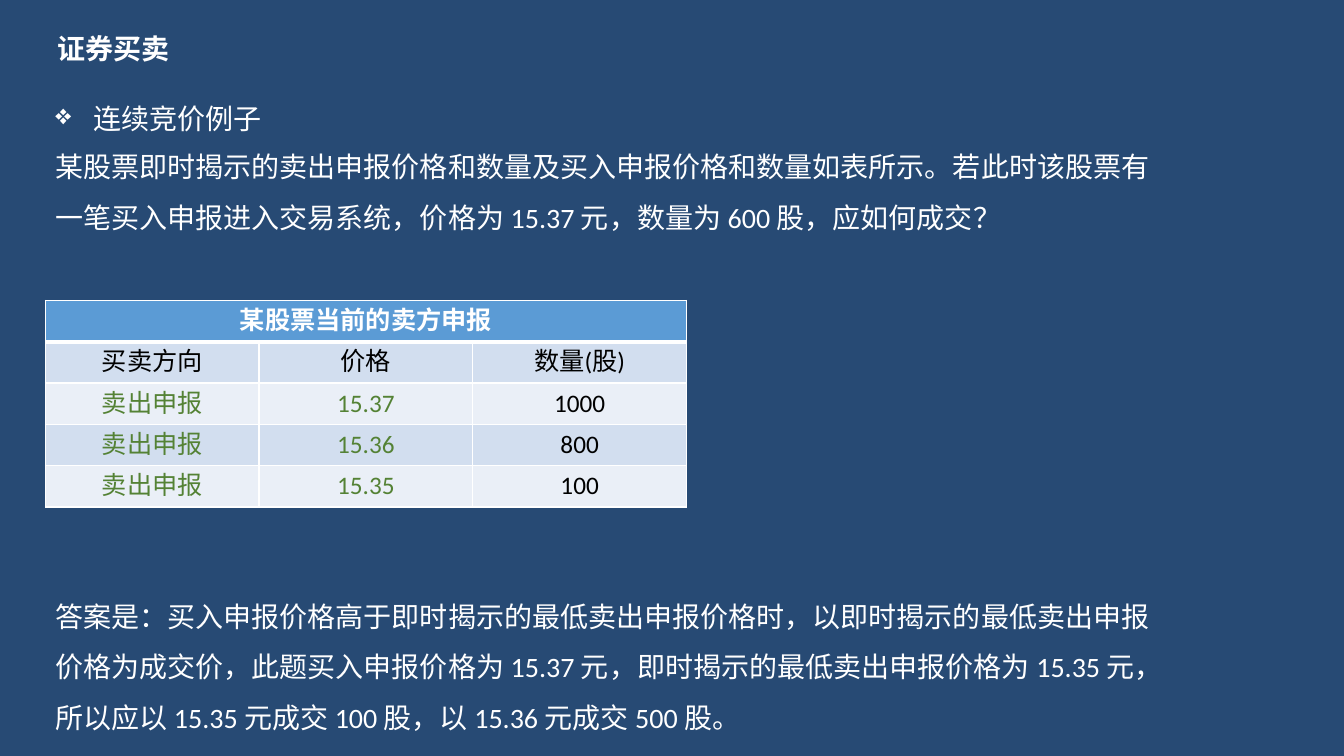
"""Build the securities trading slide with the continuous auction example."""
from pptx import Presentation, util as u
from pptx.dml.color import RGBColor
from pptx.enum import text
from pptx.oxml import parse_xml
from pptx.oxml.ns import nsdecls

WHITE, BLACK, GREEN = "FFFFFF", "000000", "548235"
HEADER_FILL, BAND_FILLS = "5B9BD5", ("D2DEEF", "EAEFF7")
CJK, LATIN = "Noto Sans CJK SC", "Calibri"
TITLE = "证券买卖"
SUBTITLE = "连续竞价例子"
QUESTION = ("某股票即时揭示的卖出申报价格和数量及买入申报价格和数量如表所示。若此时该股票有"
            "一笔买入申报进入交易系统，价格为 15.37 元，数量为 600 股，应如何成交？")
ANSWER = ("答案是：买入申报价格高于即时揭示的最低卖出申报价格时，以即时揭示的最低卖出申报"
          "价格为成交价，此题买入申报价格为 15.37 元，即时揭示的最低卖出申报价格为 15.35 "
          "元，所以应以 15.35 元成交 100 股，以 15.36 元成交 500 股。")
TABLE_ROWS = [
    ("某股票当前的卖方申报", "", ""),
    ("买卖方向", "价格", "数量(股)"),
    ("卖出申报", "15.37", "1000"),
    ("卖出申报", "15.36", "800"),
    ("卖出申报", "15.35", "100"),
]
LEFT, BODY_WIDTH = 0.45, 11.11
COLUMN_WIDTH, ROW_HEIGHT = 2.12, 0.41


def color(value):
    return RGBColor.from_string(value)


def style(paragraph, size, font, value, bold=False):
    for run in paragraph.runs:
        run.font.size = u.Pt(size)
        run.font.name = font
        run.font.bold = bold
        run.font.color.rgb = color(value)
        run.font._element.get_or_add_latin().addnext(
            parse_xml(f'<a:ea {nsdecls("a")} typeface="{LATIN}"/>'))


def add_text(slide, content, left, top, width, height, font=LATIN, bold=False):
    box = slide.shapes.add_textbox(*map(u.Inches, (left, top, width, height)))
    frame = box.text_frame
    frame.word_wrap = True
    frame.auto_size = text.MSO_AUTO_SIZE.SHAPE_TO_FIT_TEXT
    frame.text = content
    paragraph = frame.paragraphs[0]
    style(paragraph, 20, font, WHITE, bold)
    return paragraph


def add_bullet(paragraph, character, indent):
    properties = paragraph._p.get_or_add_pPr()
    properties.set("marL", str(u.Inches(indent)))
    properties.set("indent", str(-u.Inches(indent)))
    properties.append(parse_xml(f'<a:buChar {nsdecls("a")} char="{character}"/>'))


def add_borders(cell, bottom):
    properties = cell._tc.get_or_add_tcPr()
    widths = (("L", 1), ("R", 1), ("T", 1), ("B", bottom))
    for position, (side, width) in enumerate(widths):
        properties.insert(position, parse_xml(
            f'<a:ln{side} {nsdecls("a")} w="{u.Pt(width)}"><a:solidFill>'
            f'<a:srgbClr val="{WHITE}"/></a:solidFill></a:ln{side}>'))


def add_orders(slide):
    columns = len(TABLE_ROWS[0])
    table = slide.shapes.add_table(
        len(TABLE_ROWS), columns, u.Inches(LEFT), u.Inches(2.98),
        u.Inches(COLUMN_WIDTH * columns), u.Inches(ROW_HEIGHT * len(TABLE_ROWS))).table
    for row_index, values in enumerate(TABLE_ROWS):
        header = row_index == 0
        for column_index, value in enumerate(values):
            cell = table.cell(row_index, column_index)
            cell.text = value
            cell.vertical_anchor = text.MSO_ANCHOR.MIDDLE
            cell.fill.solid()
            cell.fill.fore_color.rgb = color(
                HEADER_FILL if header else BAND_FILLS[(row_index - 1) % 2])
            paragraph = cell.text_frame.paragraphs[0]
            paragraph.alignment = text.PP_ALIGN.CENTER
            is_green = row_index > 1 and column_index < 2
            ink = WHITE if header else GREEN if is_green else BLACK
            style(paragraph, 18, LATIN, ink, header)
            add_borders(cell, 3 if header else 1)
    table.cell(0, 0).merge(table.cell(0, columns - 1))


presentation = Presentation()
presentation.slide_width, presentation.slide_height = u.Inches(13.33), u.Inches(7.5)
slide = presentation.slides.add_slide(presentation.slide_layouts[6])
slide.background.fill.solid()
slide.background.fill.fore_color.rgb = color("274A74")

title = add_text(slide, TITLE, -0.04, 0.26, 2.33, 0.44, CJK, True)
title.alignment = text.PP_ALIGN.CENTER
add_orders(slide)
subtitle = add_text(slide, SUBTITLE, LEFT, 0.79, BODY_WIDTH, 0.61, CJK)
answer = add_text(slide, ANSWER, LEFT, 5.73, BODY_WIDTH, 1.56)
question = add_text(slide, QUESTION, LEFT, 1.27, BODY_WIDTH, 1.05)
for body in (subtitle, answer, question):
    body.line_spacing = 1.5
add_bullet(subtitle, "❖", 0.38)

presentation.save("out.pptx")
